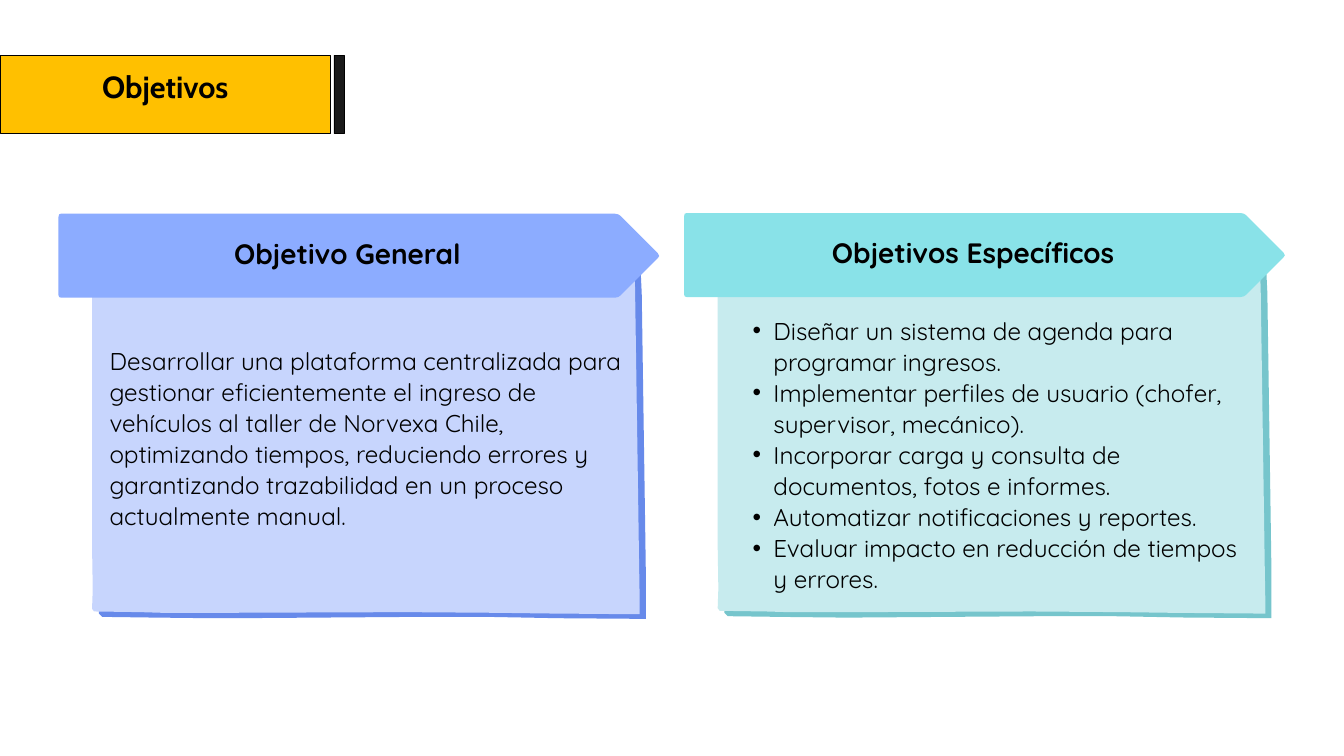
from pptx import Presentation
from pptx.dml.color import RGBColor
from pptx.enum.shapes import MSO_SHAPE
from pptx.enum.text import MSO_ANCHOR, PP_ALIGN
from pptx.oxml.ns import qn
from pptx.util import Pt
from lxml import etree

RECT = MSO_SHAPE.RECTANGLE
TOP, MID = MSO_ANCHOR.TOP, MSO_ANCHOR.MIDDLE
LEFT, CENTER = PP_ALIGN.LEFT, PP_ALIGN.CENTER
PX = 9144  # 100 px to the inch

COLORS = {
    "gold": "FFC000", "dark": "1A1A1A", "ink": "000000",
    "teal": "89E2E8", "teal_edge": "76C5CC", "teal_pale": "C7EBEE",
    "blue": "8CACFF", "blue_edge": "678AEA", "blue_pale": "C7D5FD",
}

# Content: cards with the top left corner of the banner and the box of the body
TITLE = "Objetivos"
CARDS = [
    {"head": "Objetivos Específicos", "at": (1018, 317), "hue": "teal",
     "box": (1090, 467, 779, 412), "bullets": True,
     "body": ["Diseñar un sistema de agenda para programar ingresos.",
              "Implementar perfiles de usuario (chofer, supervisor, mecánico).",
              "Incorporar carga y consulta de documentos, fotos e informes.",
              "Automatizar notificaciones y reportes.",
              "Evaluar impacto en reducción de tiempos y errores."]},
    {"head": "Objetivo General", "at": (87, 318), "hue": "blue",
     "box": (163, 512, 773, 274), "bullets": False,
     "body": ["Desarrollar una plataforma centralizada para gestionar "
              "eficientemente el ingreso de vehículos al taller de Norvexa "
              "Chile, optimizando tiempos, reduciendo errores y garantizando "
              "trazabilidad en un proceso actualmente manual."]},
]

# Outlines, measured from the banner's corner
EDGE = [(60, 595), (65, 600), (140, 601), (229, 602), (260, 602), (535, 600),
        (638, 600), (745, 602), (874, 603), (874, 529), (873, 458),
        (868, 119), (866, 76), (62, 76)]
PAPER = [(856, 69), (858, 110), (863, 449), (864, 520), (865, 580), (865, 596),
         (848, 596), (727, 595), (654, 594), (517, 593), (242, 594), (155, 594),
         (122, 593), (53, 592), (50, 588), (51, 559), (50, 496), (50, 116),
         (52, 74), (76, 70), (162, 67), (234, 65), (548, 64), (670, 63),
         (791, 65), (848, 67)]
BANNER = [(828, 0), (4, 0), (1, 1), (0, 5), (0, 121), (1, 124), (4, 125),
          (828, 125), (833, 124), (836, 122), (892, 66), (894, 63), (892, 59),
          (836, 3), (833, 1)]

# Text formats
TITLE_FONT = {"name": "Cabin", "size": Pt(32.7), "bold": True}
HEAD_FONT = {"name": "Quicksand", "size": Pt(30), "bold": True}
BODY_FONT = {"name": "Quicksand", "size": Pt(26), "bold": False}


def rgb(name):
    return RGBColor.from_string(COLORS[name])


def paint(shape, fill, line=None):
    shape.shadow.inherit = False
    shape.fill.solid()
    shape.fill.fore_color.rgb = rgb(fill)
    if line:
        shape.line.color.rgb = rgb(line)
        shape.line.width = Pt(1)
    else:
        shape.line.fill.background()


def add_rect(slide, box, fill):
    shape = slide.shapes.add_shape(RECT, *[v * PX for v in box])
    paint(shape, fill, "ink")


def add_outline(slide, at, points, fill):
    spots = [(at[0] + x, at[1] + y) for x, y in points]
    pen = slide.shapes.build_freeform(*spots[0], scale=PX)
    pen.add_line_segments(spots[1:], close=True)
    paint(pen.convert_to_shape(), fill)


def add_bullet(para):
    para.level = 1
    props = para._p.get_or_add_pPr()
    props.set("marL", str(61 * PX))
    props.set("indent", str(-31 * PX))
    etree.SubElement(props, qn("a:buFont"), typeface="Arial")
    etree.SubElement(props, qn("a:buChar"), char="•")


def add_text(slide, box, lines, style, pitch, align=LEFT, anchor=TOP,
             inset=0, bullets=False):
    frame = slide.shapes.add_textbox(*[v * PX for v in box]).text_frame
    frame.word_wrap = True
    frame.vertical_anchor = anchor
    for side in ("left", "top", "right", "bottom"):
        setattr(frame, f"margin_{side}", inset * PX)
    for i, line in enumerate(lines):
        para = frame.add_paragraph() if i else frame.paragraphs[0]
        para.alignment = align
        para.line_spacing = Pt(pitch)
        if bullets:
            add_bullet(para)
        run = para.add_run()
        run.text = line
        for key, value in style.items():
            setattr(run.font, key, value)
        run.font.color.rgb = rgb("ink")


def add_card(slide, card):
    at, hue = card["at"], card["hue"]
    for points, fill in ((EDGE, hue + "_edge"), (PAPER, hue + "_pale"),
                         (BANNER, hue)):
        add_outline(slide, at, points, fill)
    add_text(slide, (at[0], at[1] - 16, 860, 142), [card["head"]], HEAD_FONT,
             42, CENTER, MID, inset=6)
    add_text(slide, card["box"], card["body"], BODY_FONT, 33.3,
             bullets=card["bullets"])


def main():
    deck = Presentation()
    deck.slide_width, deck.slide_height = 2000 * PX, 1125 * PX
    slide = deck.slides.add_slide(deck.slide_layouts[6])

    # Title tag
    add_rect(slide, (0, 82, 492, 117), "gold")
    add_rect(slide, (497, 82, 15, 117), "dark")
    add_text(slide, (0, 101, 492, 62), [TITLE], TITLE_FONT, 39.3, CENTER)

    # Cards
    for card in CARDS:
        add_card(slide, card)
    deck.save("out.pptx")


if __name__ == "__main__":
    main()
